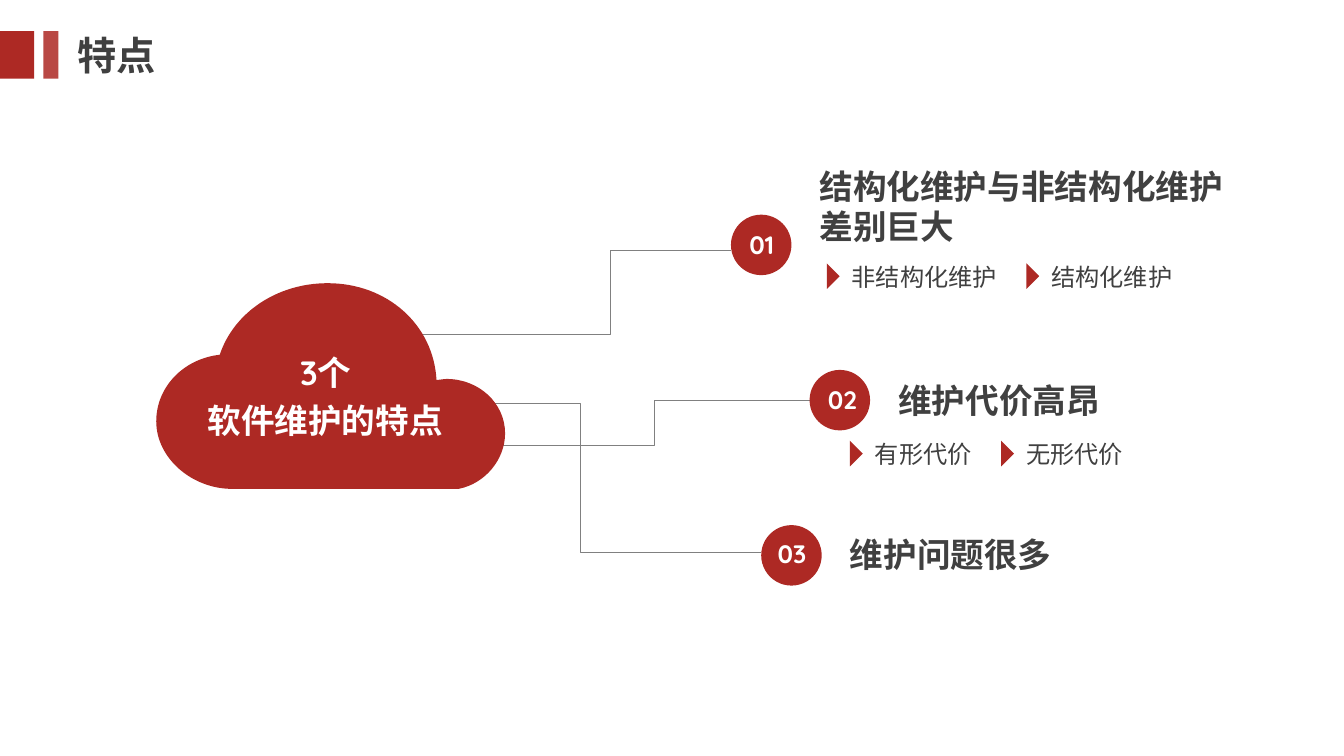
from dataclasses import dataclass

from lxml import etree
from pptx import Presentation
from pptx.dml.color import RGBColor
from pptx.enum.lang import MSO_LANGUAGE_ID
from pptx.enum.shapes import MSO_CONNECTOR, MSO_SHAPE
from pptx.enum.text import MSO_ANCHOR, MSO_AUTO_SIZE, PP_ALIGN
from pptx.oxml.ns import qn
from pptx.util import Inches, Pt

ELBOW = MSO_CONNECTOR.ELBOW
OVAL, RECTANGLE, WEDGE = MSO_SHAPE.OVAL, MSO_SHAPE.RECTANGLE, MSO_SHAPE.RIGHT_TRIANGLE
TOP, MIDDLE = MSO_ANCHOR.TOP, MSO_ANCHOR.MIDDLE
LEFT, CENTER, JUSTIFY = PP_ALIGN.LEFT, PP_ALIGN.CENTER, PP_ALIGN.JUSTIFY
FIXED, GROW = MSO_AUTO_SIZE.NONE, MSO_AUTO_SIZE.SHAPE_TO_FIT_TEXT
CHINESE = MSO_LANGUAGE_ID.SIMPLIFIED_CHINESE
TITLE_ONLY = 5
COLUMNS, ROWS = 13.33, 7.5


@dataclass(frozen=True)
class Theme:
    """Colours, typeface and type sizes of the slide."""
    accent: RGBColor = RGBColor(0xAD, 0x29, 0x24)
    ink: RGBColor = RGBColor(0x40, 0x40, 0x40)
    paper: RGBColor = RGBColor(0xFF, 0xFF, 0xFF)
    wire: RGBColor = RGBColor(0x80, 0x80, 0x80)
    typeface: str = "Quicksand"
    title: float = 28
    heading: float = 24
    badge: float = 18
    point: float = 17.3
    wire_width: float = 0.75


THEME = Theme()
CLOUD = (1.55, 2.81)
CLOUD_START = (63, 71)
CLOUD_CURVES = [
    ((77, 29), (120, 0), (170, 0)),
    ((229, 0), (275, 41), (278, 96)),
    ((281, 96), (285, 95), (288, 95)),
    ((320, 95), (346, 119), (346, 149)),
    ((346, 175), (326, 199), (300, 204)),
    ((75, 204), (75, 204), (75, 204)),
    ((36, 204), (0, 174), (0, 137)),
    ((0, 103), (27, 75), CLOUD_START),
]
BADGE = 0.6
TOPICS = [
    dict(number="01", corner=(7.25, 2.13), number_at=(0.02, 0.1),
         heading=["结构化维护与非结构化维护", "差别巨大"], heading_rows=(-0.54, 0.91),
         points=["非结构化维护", "结构化维护"], points_at=(0.86, 0.42),
         wire_start=(2.52, 0.51), wire_row=0.36, bend=0.624),
    dict(number="02", corner=(8.03, 3.67), number_at=(0.04, 0.1),
         heading=["维护代价高昂"], heading_rows=(0.05, 0.5),
         points=["有形代价", "无形代价"], points_at=(0.31, 0.64),
         wire_start=(3.2, 1.61), wire_row=0.3, bend=0.531),
    dict(number="03", corner=(7.55, 5.21), number_at=(0.02, 0.08),
         heading=["维护问题很多"], heading_rows=(0.04, 0.5),
         points=[], points_at=(0, 0),
         wire_start=(2.42, 1.19), wire_row=0.27, bend=0.5),
]


def offset(corner, step):
    """Return the grid position a step away from a corner."""
    return corner[0] + step[0], corner[1] + step[1]


def cells(*counts):
    """Turn counts of one-inch grid cells into lengths."""
    return [Inches(round(count, 2)) for count in counts]


def apply(target, values):
    """Set every attribute named in a dict of format values."""
    for name, value in values.items():
        setattr(target, name, value)


def write(holder, lines, size, color, bold=True, aligns=(LEFT,), spacing=None, **frame):
    """Write styled paragraphs into the text frame of a shape."""
    apply(holder.text_frame, frame)
    holder.text_frame.text = "\n".join(lines)
    for index, paragraph in enumerate(holder.text_frame.paragraphs):
        apply(paragraph, dict(alignment=aligns[index % len(aligns)], line_spacing=spacing))
        run = paragraph.runs[0]
        apply(run.font, dict(size=Pt(size), bold=bold, name=THEME.typeface,
                             language_id=CHINESE))
        run.font.color.rgb = color
        east_asian = etree.SubElement(run.font._element, qn("a:ea"))
        east_asian.set("typeface", THEME.typeface)


def paint(figure):
    """Give a shape the flat accent fill."""
    figure.shadow.inherit = False
    figure.fill.solid()
    figure.fill.fore_color.rgb = THEME.accent
    figure.line.fill.background()
    return figure


def add_figure(slide, preset, corner, width, height):
    """Add a flat preset shape."""
    return paint(slide.shapes.add_shape(preset, *cells(*corner, width, height)))


def add_label(slide, corner, width, height, lines, size, color, **style):
    """Add a text box with styled lines."""
    label = slide.shapes.add_textbox(*cells(*corner, width, height))
    write(label, lines, size, color, **style)


def add_header(slide, corner):
    """Place the title and its two marker bars."""
    add_figure(slide, RECTANGLE, corner, 0.34, 0.47)
    pale_bar = add_figure(slide, RECTANGLE, offset(corner, (0.43, 0)), 0.15, 0.47)
    tint = pale_bar._element.spPr.find(qn("a:solidFill"))[0]
    etree.SubElement(tint, qn("a:alpha")).set("val", "85000")
    title = slide.shapes.title
    place = cells(*offset(corner, (0.67, -0.05)), 0.99, 0.57)
    apply(title, dict(zip(("left", "top", "width", "height"), place)))
    write(title, ["特点"], THEME.title, THEME.ink,
          word_wrap=False, auto_size=GROW, vertical_anchor=TOP)


def add_wire(slide, start, end, bend):
    """Join two positions with an elbow line bent at a share of its width."""
    wire = slide.shapes.add_connector(ELBOW, *cells(*start, *end))
    wire.line.color.rgb = THEME.wire
    wire.line.width = Pt(THEME.wire_width)
    properties = wire._element.spPr
    guides = properties.find(qn("a:prstGeom")).find(qn("a:avLst"))
    guide = etree.SubElement(guides, qn("a:gd"))
    guide.set("name", "adj1")
    guide.set("fmla", f"val {round(bend * 100000)}")
    etree.SubElement(properties, qn("a:effectLst"))


def add_points(slide, corner, points):
    """Place a row of short points, each after a wedge."""
    for point in points:
        width = 0.24 * len(point) + 0.21
        wedge = add_figure(slide, WEDGE, offset(corner, (0, 0.1)), 0.18, 0.18)
        wedge.rotation = 225
        add_label(slide, offset(corner, (0.24, 0)), width, 0.39, [point],
                  THEME.point, THEME.ink, bold=False, word_wrap=False, auto_size=GROW)
        corner = offset(corner, (width + 0.33, 0))


def add_topic(slide, number, corner, number_at, heading, heading_rows, points, points_at,
              wire_start, wire_row, bend):
    """Place a numbered topic with its wire, heading and points."""
    add_wire(slide, offset(CLOUD, wire_start), offset(corner, (0, wire_row)), bend)
    add_figure(slide, OVAL, corner, BADGE, BADGE)
    add_label(slide, offset(corner, number_at), 0.57, 0.39, [number], THEME.badge,
              THEME.paper, aligns=(CENTER,), word_wrap=True, vertical_anchor=MIDDLE)
    row, rows = heading_rows
    add_label(slide, offset(corner, (0.78, row)), 4.22, rows, heading,
              THEME.heading, THEME.ink, word_wrap=True, auto_size=FIXED,
              vertical_anchor=MIDDLE)
    add_points(slide, offset(corner, points_at), points)


def bend_outline(figure):
    """Join each three straight steps of an outline into one cubic curve."""
    outline = next(figure._element.iter(qn("a:path")))
    steps = outline.findall(qn("a:lnTo"))
    for first in range(0, len(steps), 3):
        curve = etree.Element(qn("a:cubicBezTo"))
        steps[first].addprevious(curve)
        for step in steps[first:first + 3]:
            curve.append(step[0])
            outline.remove(step)


def add_cloud(slide, corner):
    """Place the cloud and its caption."""
    outline = slide.shapes.build_freeform(*CLOUD_START, scale=Inches(1) / 100)
    outline.add_line_segments([anchor for curve in CLOUD_CURVES for anchor in curve])
    cloud = paint(outline.convert_to_shape(*cells(*corner)))
    bend_outline(cloud)
    add_label(slide, offset(corner, (0.41, 0.55)), 2.54, 1.03, ["3个", "软件维护的特点"],
              THEME.heading, THEME.paper, aligns=(CENTER, JUSTIFY), spacing=1.2,
              word_wrap=True, auto_size=FIXED)


def main():
    """Build the slide and save it."""
    deck = Presentation()
    deck.slide_width, deck.slide_height = cells(COLUMNS, ROWS)
    slide = deck.slides.add_slide(deck.slide_layouts[TITLE_ONLY])
    add_header(slide, (0, 0.31))
    for topic in TOPICS:
        add_topic(slide, **topic)
    add_cloud(slide, CLOUD)
    deck.save("out.pptx")


if __name__ == "__main__":
    main()
